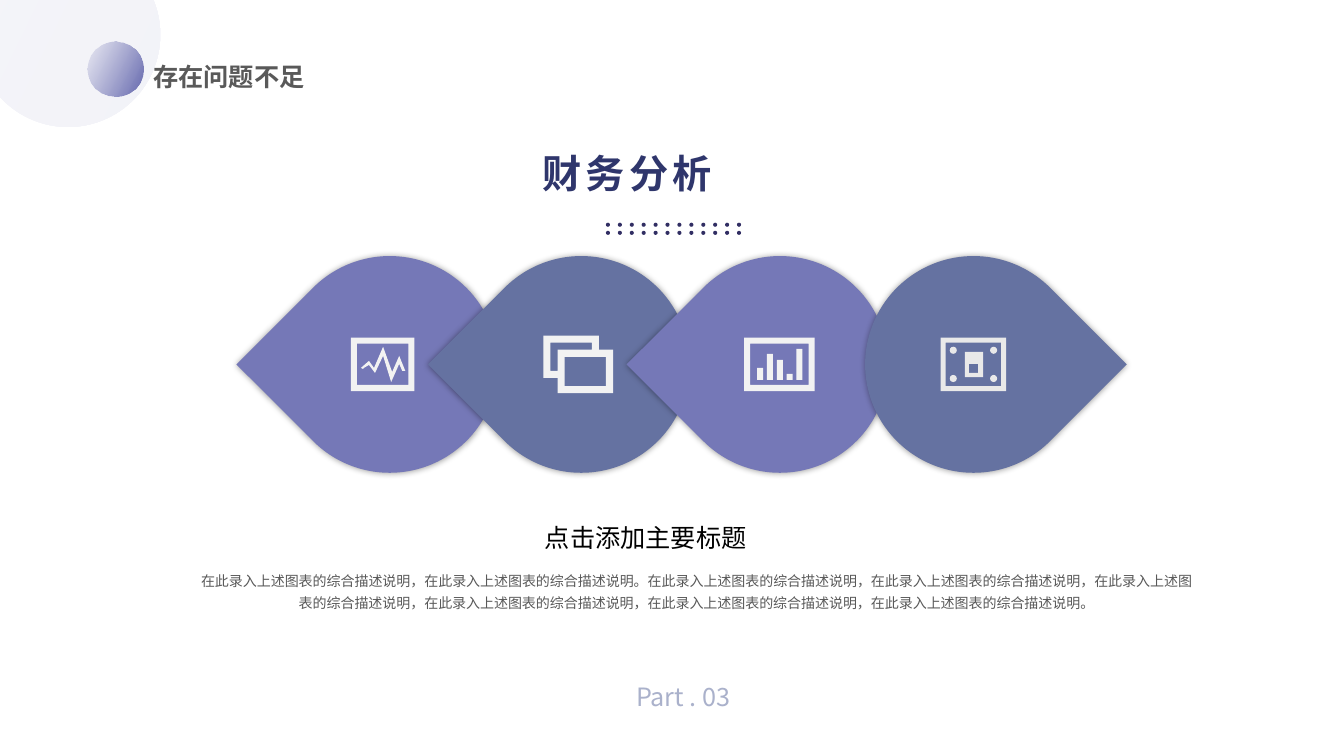
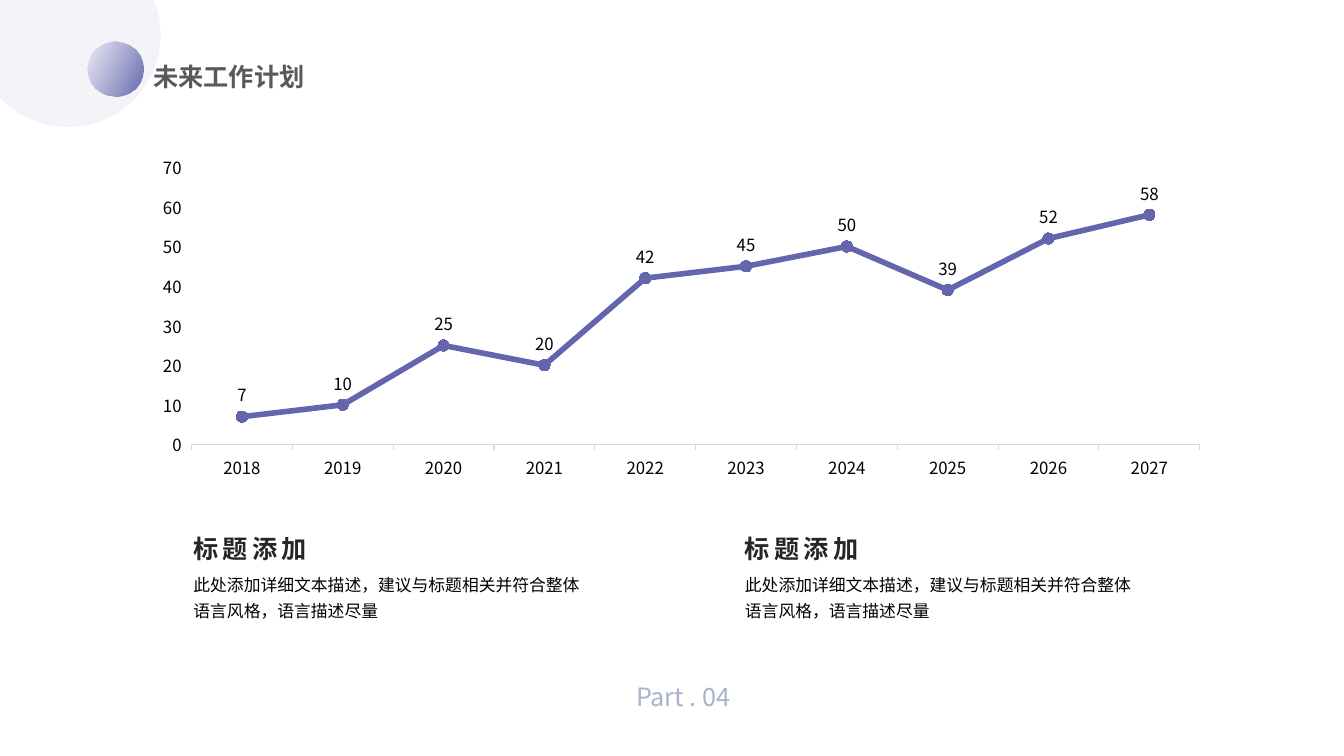
import dataclasses

import lxml.etree
import pptx
import pptx.chart.data
import pptx.dml.color
import pptx.enum.chart
import pptx.enum.shapes
import pptx.enum.text
import pptx.oxml.ns
import pptx.util

Inches = pptx.util.Inches
Pt = pptx.util.Pt
RGB = pptx.dml.color.RGBColor.from_string
qn = pptx.oxml.ns.qn
SHAPE = pptx.enum.shapes.MSO_SHAPE
ALIGN = pptx.enum.text.PP_ALIGN
ANCHOR = pptx.enum.text.MSO_ANCHOR


@dataclasses.dataclass(frozen=True)
class Theme:
    font: str = "Noto Sans CJK SC"
    violet: str = "7578B7"
    indigo: str = "6366AD"
    slate: str = "6572A1"
    navy: str = "2F366C"
    dots: str = "312E63"
    gray: str = "595959"
    ink: str = "262626"
    black: str = "000000"
    icon: str = "F2F2F2"
    cash: str = "E9E9E9"
    axis: str = "D9D9D9"
    large: int = 28
    medium: int = 18
    text: int = 12
    small: int = 10


T = Theme()
TITLE = dict(size=T.medium, color=T.gray, bold=True)
PART = dict(size=T.medium, color=T.slate, alpha=54)
HEADING = dict(size=T.large, color=T.navy, bold=True, spacing=3)
SUBHEAD = dict(size=T.medium, color=T.black)
NOTE = dict(size=T.small, color=T.gray)
COLUMN_HEAD = dict(size=T.medium, color=T.ink, bold=True, spacing=3)
COLUMN_TEXT = dict(size=T.text, color=T.black)


def set_attrs(target, values):
    for name, value in values.items():
        setattr(target, name, value)


def set_alpha(color_element, percent):
    lxml.etree.SubElement(color_element, qn("a:alpha"), val=str(percent * 1000))


def write(sp, text, style, align=ALIGN.LEFT, anchor=ANCHOR.TOP, spacing=1.0, inset=(0.1, 0.05)):
    tf = sp.text_frame
    side, edge = map(Inches, inset)
    set_attrs(tf, dict(word_wrap=True, auto_size=pptx.enum.text.MSO_AUTO_SIZE.NONE,
                       vertical_anchor=anchor, margin_left=side, margin_right=side,
                       margin_top=edge, margin_bottom=edge))
    p = tf.paragraphs[0]
    set_attrs(p, dict(alignment=align, line_spacing=spacing))
    r = p.add_run()
    r.text = text
    set_attrs(r.font, dict(name=T.font, size=Pt(style["size"]), bold=style.get("bold", False)))
    r.font.color.rgb = RGB(style["color"])
    props = r.font.fill._xPr
    lxml.etree.SubElement(props, qn("a:ea"), typeface=T.font)
    if "spacing" in style:
        props.set("spc", str(style["spacing"] * 100))
    if "alpha" in style:
        set_alpha(props.find(".//" + qn("a:srgbClr")), style["alpha"])


def add_text(s, x, y, w, h, text, style, **layout):
    write(s.shapes.add_textbox(*map(Inches, (x, y, w, h))), text, style, **layout)


def paint(sp, color):
    sp.fill.solid()
    sp.fill.fore_color.rgb = RGB(color)
    sp.line.fill.background()
    sp.shadow.inherit = False
    return sp


def add_shape(shapes, kind, x, y, w, h, color):
    return paint(shapes.add_shape(kind, *map(Inches, (x, y, w, h))), color)


def add_outline(shapes, x, y, loops, color):
    placed = [[(Inches(x + dx), Inches(y + dy)) for dx, dy in loop] for loop in loops]
    builder = shapes.build_freeform(*placed[0][0], scale=1.0)
    for i, loop in enumerate(placed):
        if i:
            builder.move_to(*loop[0])
        builder.add_line_segments(loop[1:], close=True)
    paint(builder.convert_to_shape(), color)


def rect(x, y, w, h):
    return [(x, y), (x + w, y), (x + w, y + h), (x, y + h)]


def add_frame(shapes, x, y, w, h, edge, color):
    loops = [rect(0, 0, w, h), rect(edge, edge, w - 2 * edge, h - 2 * edge)]
    add_outline(shapes, x, y, loops, color)


def add_bubble(s, x, y, size, end_alpha):
    sp = add_shape(s.shapes, SHAPE.OVAL, x, y, size, size, T.violet)
    sp.fill.gradient()
    sp.fill.gradient_angle = 334
    for stop, color in zip(sp.fill.gradient_stops, (T.violet, T.indigo)):
        stop.color.rgb = RGB(color)
    for element, alpha in zip(sp.element.xpath(".//a:gsLst//a:srgbClr"), (8, end_alpha)):
        set_alpha(element, alpha)


def add_page(prs, title, part):
    s = prs.slides.add_slide(prs.slide_layouts[5])
    add_bubble(s, -0.24, -0.57, 1.83, 8)
    add_bubble(s, 0.87, 0.41, 0.55, 100)
    sp = s.shapes.title
    set_attrs(sp, dict(left=Inches(1.42), top=Inches(0.56), width=Inches(2.75), height=Inches(0.4)))
    write(sp, title, TITLE, ALIGN.JUSTIFY)
    s.shapes.element.append(sp.element)
    add_text(s, 6.21, 6.65, 1.48, 0.51, part, PART, align=ALIGN.JUSTIFY, anchor=ANCHOR.MIDDLE)
    return s


def add_dots(s, x, y, w, h, columns=12, rows=2, size=0.04):
    shapes = s.shapes.add_group_shape().shapes
    for row in range(rows):
        for col in range(columns):
            add_shape(shapes, SHAPE.OVAL, x + col * (w - size) / (columns - 1),
                      y + row * (h - size) / (rows - 1), size, size, T.dots)


def draw_pulse(shapes, x, y):
    wave = [(0.13, 0.3), (0.18, 0.27), (0.24, 0.35), (0.32, 0.18), (0.4, 0.44),
            (0.48, 0.26), (0.51, 0.33), (0.54, 0.33), (0.48, 0.18), (0.41, 0.34),
            (0.32, 0.09), (0.23, 0.3), (0.18, 0.23), (0.1, 0.3), (0.12, 0.31)]
    add_outline(shapes, x, y, [wave], T.icon)
    add_frame(shapes, x, y, 0.63, 0.53, 0.06, T.icon)


def draw_windows(shapes, x, y):
    edge = [(0.55, 0.14), (0.55, 0), (0, 0), (0, 0.42), (0.14, 0.42),
            (0.14, 0.57), (0.69, 0.57), (0.69, 0.14)]
    back = [(0.07, 0.35), (0.07, 0.07), (0.48, 0.07), (0.48, 0.14), (0.14, 0.14), (0.14, 0.35)]
    add_outline(shapes, x, y, [edge, back, rect(0.21, 0.21, 0.41, 0.29)], T.icon)


def draw_bars(shapes, x, y):
    for i, h in enumerate((0.12, 0.26, 0.2, 0.06, 0.31)):
        add_shape(shapes, SHAPE.RECTANGLE, x + 0.13 + i * 0.39 / 4, y + 0.42 - h, 0.06, h, T.icon)
    add_frame(shapes, x, y, 0.7, 0.53, 0.06, T.icon)


def draw_cash(shapes, x, y):
    add_frame(shapes, x, y, 0.65, 0.53, 0.05, T.cash)
    for dy in (0.09, 0.37):
        for dx in (0.09, 0.49):
            add_shape(shapes, SHAPE.OVAL, x + dx, y + dy, 0.07, 0.07, T.cash)
    add_outline(shapes, x, y, [rect(0.24, 0.14, 0.18, 0.25), rect(0.28, 0.26, 0.09, 0.09)], T.cash)


def add_drop(s, x, y, size, color, rotation, draw_icon, icon_x, icon_y):
    shapes = s.shapes.add_group_shape().shapes
    sp = add_shape(shapes, SHAPE.TEAR, x, y, size, size, color)
    sp.rotation = rotation
    effects = sp.element.spPr.find(qn("a:effectLst"))
    shadow = lxml.etree.SubElement(effects, qn("a:outerShdw"), blurRad=str(Pt(5)),
                                   dist="0", dir="0", algn="ctr", rotWithShape="0")
    set_alpha(lxml.etree.SubElement(shadow, qn("a:srgbClr"), val=T.black), 40)
    draw_icon(shapes, x + icon_x, y + icon_y)


def add_analysis_slide(prs):
    s = add_page(prs, "存在问题不足", "Part . 03")
    add_text(s, 5.38, 1.48, 2.72, 0.47, "财务分析", HEADING,
             align=ALIGN.JUSTIFY, anchor=ANCHOR.MIDDLE, inset=(0, 0))
    add_dots(s, 6.01, 2.21, 1.34, 0.12)
    for x, color, rotation, draw_icon, icon_x, icon_y in (
            (2.79, T.violet, 225, draw_pulse, 0.69, 0.81),
            (4.69, T.slate, 225, draw_windows, 0.7, 0.79),
            (6.66, T.violet, 225, draw_bars, 0.72, 0.81),
            (8.58, T.slate, 45, draw_cash, 0.75, 0.81)):
        add_drop(s, x, 2.54, 2.15, color, rotation, draw_icon, icon_x, icon_y)
    add_text(s, 4.02, 5.13, 4.77, 0.4, "点击添加主要标题", SUBHEAD, align=ALIGN.CENTER)
    phrase = "在此录入上述图表的综合描述说明"
    note = f"{phrase}，{phrase}。" + f"{phrase}，" * 5 + f"{phrase}。"
    add_text(s, 1.88, 5.58, 10.05, 0.54, note, NOTE, align=ALIGN.CENTER, spacing=1.3)


def set_plot_area(chart, **fractions):
    area = chart.element.xpath(".//c:plotArea")[0]
    for old in area.findall(qn("c:layout")):
        area.remove(old)
    layout = lxml.etree.Element(qn("c:layout"))
    area.insert(0, layout)
    manual = lxml.etree.SubElement(layout, qn("c:manualLayout"))
    values = dict(layoutTarget="inner", xMode="edge", yMode="edge", **fractions)
    for name, value in values.items():
        lxml.etree.SubElement(manual, qn("c:" + name), val=str(value))


def add_trend_chart(s, x, y, w, h):
    data = pptx.chart.data.CategoryChartData()
    data.categories = [str(year) for year in range(2018, 2028)]
    data.add_series("Series 1", (7, 10, 25, 20, 42, 45, 50, 39, 52, 58))
    chart = s.shapes.add_chart(pptx.enum.chart.XL_CHART_TYPE.LINE_MARKERS,
                               *map(Inches, (x, y, w, h)), data).chart
    set_attrs(chart, dict(has_title=False, has_legend=False))
    set_attrs(chart.font, dict(name=T.font, size=Pt(T.text)))
    chart.font.color.rgb = RGB(T.black)
    set_plot_area(chart, x=0.31 / w, y=0.14 / h, w=10 / w, h=2.75 / h)

    tick = pptx.enum.chart.XL_TICK_MARK
    set_attrs(chart.value_axis, dict(minimum_scale=0, maximum_scale=70, major_unit=10,
                                     has_major_gridlines=False, major_tick_mark=tick.OUTSIDE))
    chart.value_axis.format.line.fill.background()
    chart.category_axis.major_tick_mark = tick.OUTSIDE
    axis_line = chart.category_axis.format.line
    axis_line.color.rgb = RGB(T.axis)
    axis_line.width = Pt(0.75)

    plot = chart.plots[0]
    plot.vary_by_categories = False
    series = plot.series[0]
    series.smooth = False
    series.format.line.color.rgb = RGB(T.indigo)
    series.format.line.width = Pt(4)
    set_attrs(series.marker, dict(style=pptx.enum.chart.XL_MARKER_STYLE.CIRCLE, size=8))
    series.marker.format.fill.solid()
    series.marker.format.fill.fore_color.rgb = RGB(T.indigo)
    series.marker.format.line.fill.background()
    set_attrs(series.data_labels, dict(show_value=True,
                                       position=pptx.enum.chart.XL_LABEL_POSITION.ABOVE))


def add_column(s, x, y, w):
    add_text(s, x, y, 1.63, 0.4, "标题添加", COLUMN_HEAD)
    add_text(s, x, y + 0.35, w, 0.6, "此处添加详细文本描述，建议与标题相关并符合整体语言风格，语言描述尽量",
             COLUMN_TEXT, spacing=1.3)


def add_plan_slide(prs):
    s = add_page(prs, "未来工作计划", "Part . 04")
    add_trend_chart(s, 1.59, 1.52, 10.48, 3.96)
    for x in (1.82, 7.29):
        add_column(s, x, 5.24, 4.09)


def main():
    prs = pptx.Presentation()
    set_attrs(prs, dict(slide_width=Inches(13.33), slide_height=Inches(7.5)))
    add_analysis_slide(prs)
    add_plan_slide(prs)
    prs.save("out.pptx")


if __name__ == "__main__":
    main()
